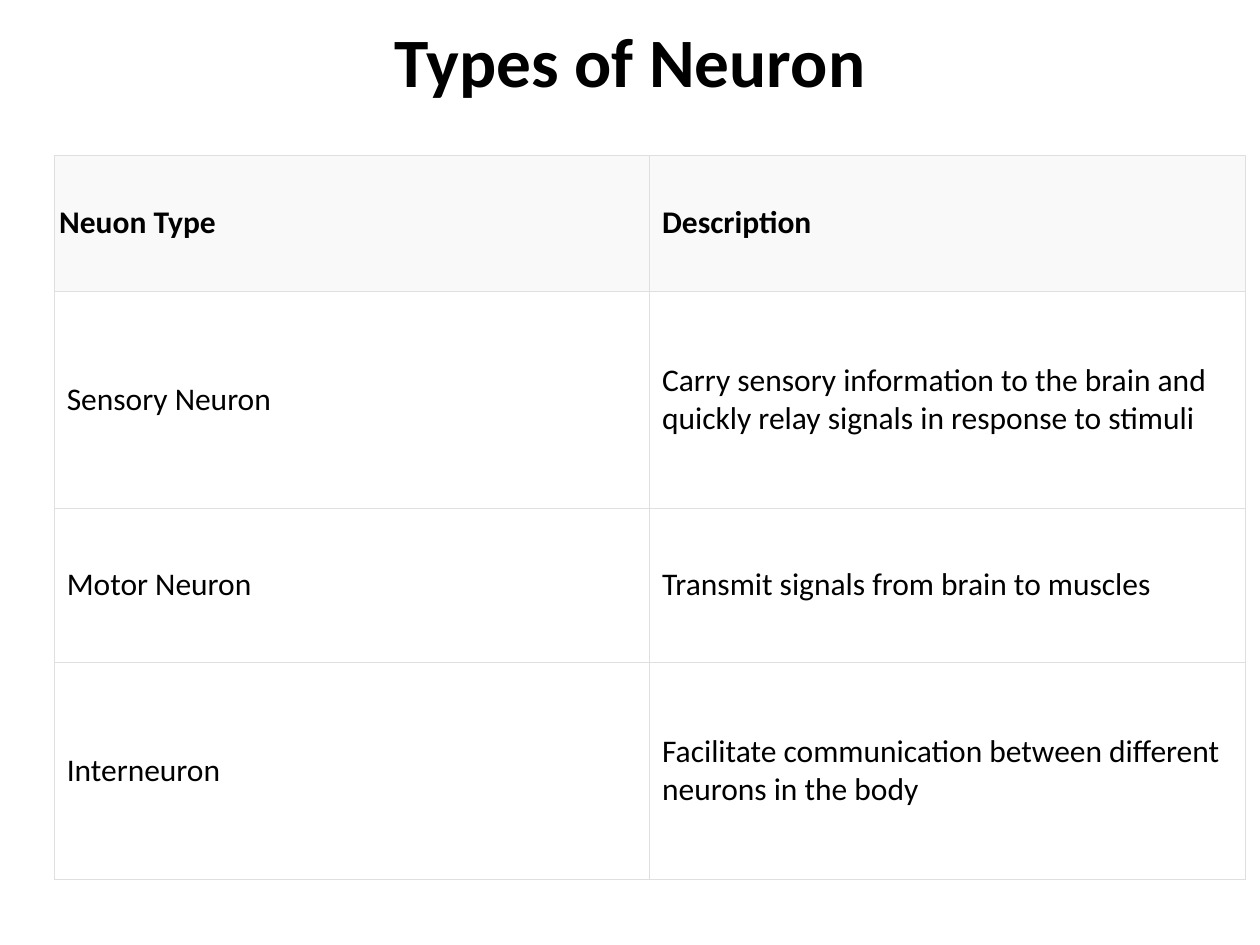
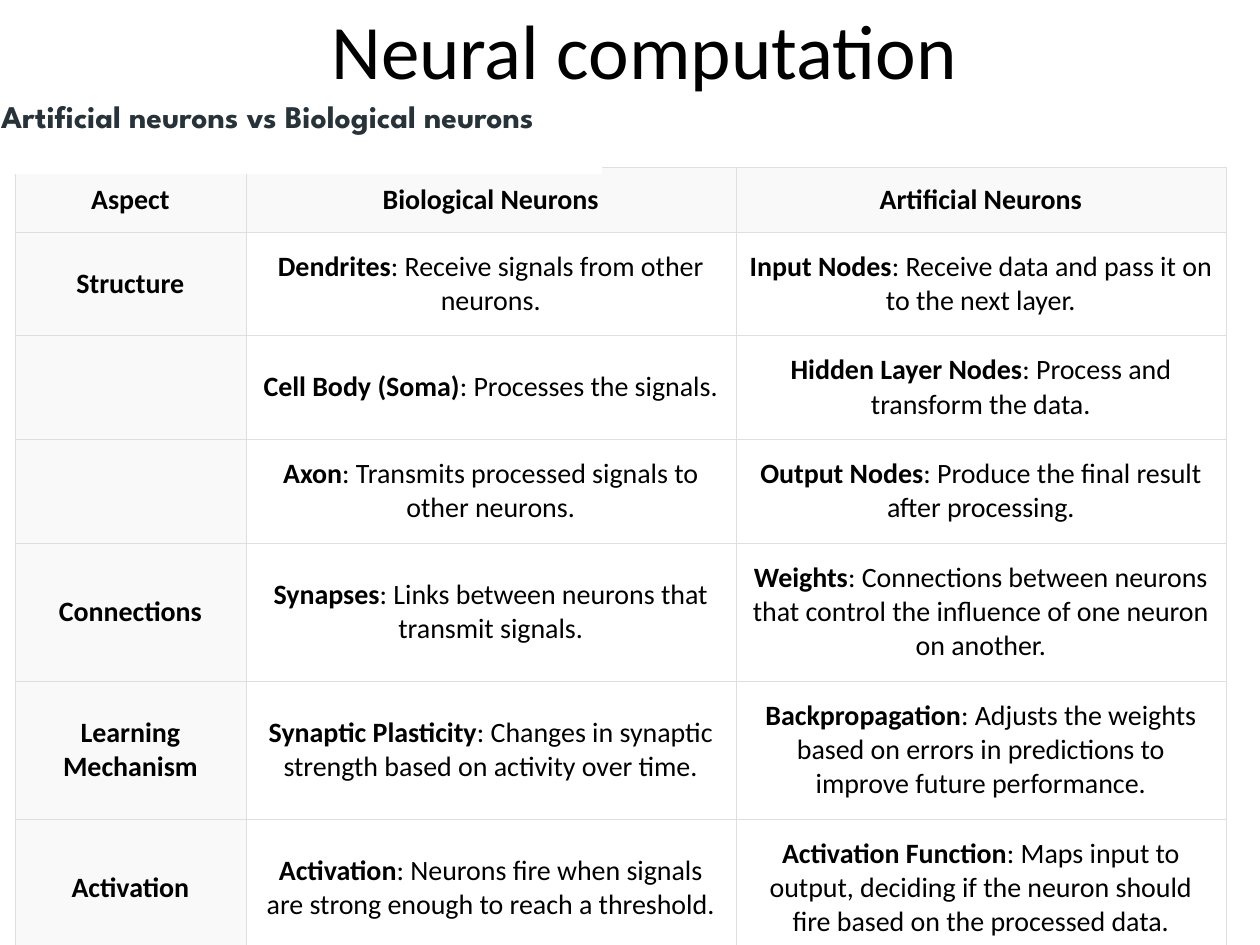
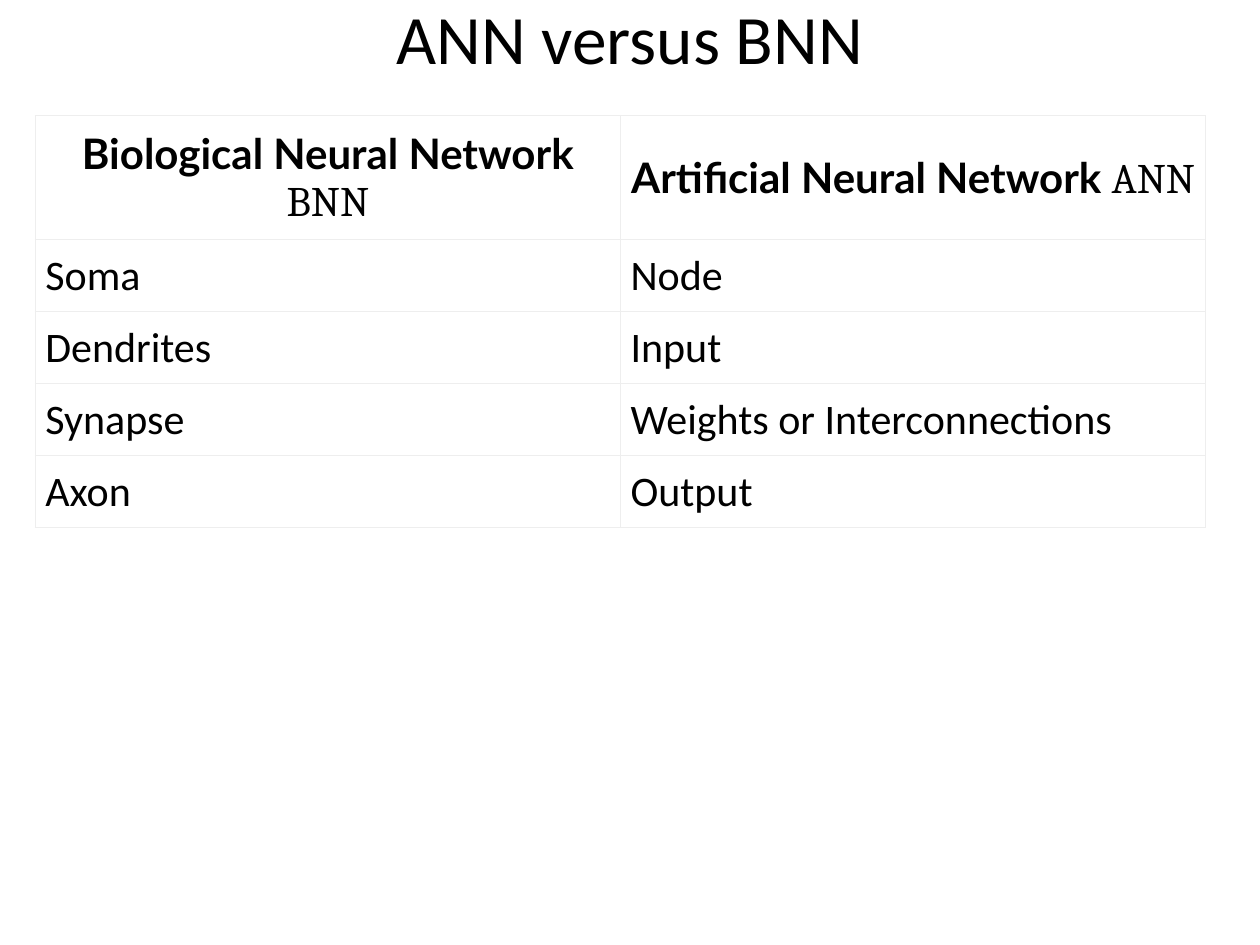
from dataclasses import dataclass

from lxml import etree
from pptx import Presentation
from pptx.dml.color import RGBColor
from pptx.enum.shapes import MSO_SHAPE
from pptx.enum.text import MSO_ANCHOR, MSO_AUTO_SIZE, PP_ALIGN
from pptx.oxml.ns import qn
from pptx.util import Inches, Pt

RECTANGLE = MSO_SHAPE.RECTANGLE
TOP, MIDDLE = MSO_ANCHOR.TOP, MSO_ANCHOR.MIDDLE
LEFT, CENTER = PP_ALIGN.LEFT, PP_ALIGN.CENTER
NO_AUTOFIT = MSO_AUTO_SIZE.NONE

COLORS = {
    "text": "000000",
    "subtitle": "273239",
    "paper": "FFFFFF",
    "heading": "F9F9F9",
    "rule": "DFDFDF",
    "light_rule": "EEEEEE",
}
BODY_FONT = "Calibri"
HEADING_FONT = "Lato"
ACRONYM_FONT = "Cambria"
SUBTITLE_FONT = "League Spartan"

# The slide is a grid of 100 columns by 75 rows; boxes are left, top, width, height.
GRID_COLUMNS, GRID_ROWS = 100, 75
CELL = Inches(0.1)
TITLE_ONLY = 5


@dataclass
class TableStyle:
    size: int
    head_pad: tuple
    body_pad: tuple
    corner_pad: tuple
    rule: str = "rule"
    rule_width: float = 0.23
    head_fill: str = "heading"
    head_align: int = LEFT
    body_align: int = LEFT
    head_column: bool = False


NEURON_STYLE = TableStyle(18, (0.1, 0.1), (0.1, 0.15), (0.04, 0.1))
ASPECT_STYLE = TableStyle(16, (0.1, 0.1), (0.1, 0.14), (0.04, 0.07),
                          head_align=CENTER, body_align=CENTER, head_column=True)
NETWORK_STYLE = TableStyle(24, (0.08, 0.08), (0.08, 0.08), (0.08, 0.08),
                           rule="light_rule", rule_width=0.75,
                           head_fill="paper", head_align=CENTER)

NEURON_TYPES = [
    ("Neuon Type", "Description"),
    ("Sensory Neuron", "Carry sensory information to the brain and quickly relay "
                       "signals in response to stimuli"),
    ("Motor Neuron", "Transmit signals from brain to muscles"),
    ("Interneuron", "Facilitate communication between different neurons in the body"),
]
ASPECTS = [
    ("Aspect", "Biological Neurons", "Artificial Neurons"),
    ("Structure", "Dendrites: Receive signals from other neurons.",
     "Input Nodes: Receive data and pass it on to the next layer."),
    ("", "Cell Body (Soma): Processes the signals.",
     "Hidden Layer Nodes: Process and transform the data."),
    ("", "Axon: Transmits processed signals to other neurons.",
     "Output Nodes: Produce the final result after processing."),
    ("Connections", "Synapses: Links between neurons that transmit signals.",
     "Weights: Connections between neurons that control the influence of one "
     "neuron on another."),
    ("Learning Mechanism",
     "Synaptic Plasticity: Changes in synaptic strength based on activity over time.",
     "Backpropagation: Adjusts the weights based on errors in predictions to "
     "improve future performance."),
    ("Activation",
     "Activation: Neurons fire when signals are strong enough to reach a threshold.",
     "Activation Function: Maps input to output, deciding if the neuron should "
     "fire based on the processed data."),
]
NETWORK_PARTS = [
    ("Biological Neural Network BNN", "Artificial Neural Network ANN"),
    ("Soma", "Node"),
    ("Dendrites", "Input"),
    ("Synapse", "Weights or Interconnections"),
    ("Axon", "Output"),
]


def rgb(name):
    return RGBColor.from_string(COLORS[name])


def grid(box):
    return [round(length * CELL) for length in box]


def format_font(font, size, bold=False, name=BODY_FONT, color="text"):
    font.size, font.bold, font.name = Pt(size), bold, name
    font.color.rgb = rgb(color)


def add_title(slide, text, box, size, bold=False, align=CENTER):
    title = slide.shapes.title
    title.left, title.top, title.width, title.height = grid(box)
    frame = title.text_frame
    frame.text = text
    frame.auto_size = NO_AUTOFIT
    frame.vertical_anchor = MIDDLE
    frame.paragraphs[0].alignment = align
    format_font(frame.paragraphs[0].runs[0].font, size, bold)


def add_subtitle_band(slide, text, box):
    band = slide.shapes.add_shape(RECTANGLE, *grid(box))
    band.shadow.inherit = False
    band.fill.solid()
    band.fill.fore_color.rgb = rgb("paper")
    band.line.fill.background()
    frame = band.text_frame
    frame.text = text
    frame.word_wrap = False
    frame.vertical_anchor = TOP
    frame.margin_left = frame.margin_right = frame.margin_top = frame.margin_bottom = 0
    frame.paragraphs[0].alignment = LEFT
    format_font(frame.paragraphs[0].runs[0].font, 18, True, SUBTITLE_FONT, "subtitle")


def draw_borders(cell, color, width):
    properties = cell._tc.get_or_add_tcPr()
    for position, side in enumerate(("lnL", "lnR", "lnT", "lnB")):
        line = etree.Element(qn(f"a:{side}"), w=str(int(Pt(width))))
        fill = etree.SubElement(line, qn("a:solidFill"))
        etree.SubElement(fill, qn("a:srgbClr"), val=COLORS[color])
        properties.insert(position, line)


def plain_runs(text, is_head):
    return [(text, is_head, BODY_FONT)]


def term_runs(text, is_head):
    """Set the term before the colon in bold."""
    term, colon, meaning = text.partition(":")
    return [(term, True, BODY_FONT), (colon + meaning, False, BODY_FONT)]


def acronym_runs(text, is_head):
    """Set the acronym that closes a heading in its own font."""
    if not is_head:
        return plain_runs(text, is_head)
    return [(text[:-3], True, HEADING_FONT), (text[-3:], False, ACRONYM_FONT)]


def fill_cell(cell, runs, is_head, pad, style):
    cell.fill.solid()
    cell.fill.fore_color.rgb = rgb(style.head_fill if is_head else "paper")
    draw_borders(cell, style.rule, style.rule_width)
    cell.vertical_anchor = MIDDLE
    cell.margin_left = cell.margin_right = Inches(pad[0])
    cell.margin_top = cell.margin_bottom = Inches(pad[1])
    paragraph = cell.text_frame.paragraphs[0]
    paragraph.alignment = style.head_align if is_head else style.body_align
    format_font(paragraph.font, style.size)
    for text, bold, font in runs:
        if text:
            run = paragraph.add_run()
            run.text = text
            format_font(run.font, style.size, bold, font)


def add_comparison(slide, rows, box, column_shares, row_shares, style, split_runs):
    """Fill the box with a table whose columns and rows follow the given shares."""
    left, top, width, height = grid(box)
    table = slide.shapes.add_table(len(rows), len(rows[0]), left, top, width, height).table
    table.first_row = table.horz_banding = False
    for column, share in zip(table.columns, column_shares):
        column.width = round(width * share / sum(column_shares))
    for row, share in zip(table.rows, row_shares):
        row.height = round(height * share / sum(row_shares))
    for r, texts in enumerate(rows):
        for c, text in enumerate(texts):
            is_head = r == 0 or (style.head_column and c == 0)
            if is_head and c == 0:
                pad = style.corner_pad
            else:
                pad = style.head_pad if is_head else style.body_pad
            fill_cell(table.cell(r, c), split_runs(text, is_head), is_head, pad, style)


def build_neuron_types(slide):
    add_title(slide, "Types of Neuron", (5, 0.1, 90, 9.3), 39.6, bold=True)
    add_comparison(slide, NEURON_TYPES, (4.3, 12.3, 94.5, 57.5), (1, 1),
                   (1.08, 1.73, 1.22, 1.73), NEURON_STYLE, plain_runs)


def build_neural_computation(slide):
    add_title(slide, "Neural computation", (25.3, -0.3, 52.3, 8.4), 44, align=LEFT)
    add_comparison(slide, ASPECTS, (1.2, 13.3, 96.1, 62.1), (1.83, 3.89, 3.89),
                   (0.51, 0.82, 0.82, 0.82, 1.08, 1.08, 1.08), ASPECT_STYLE, term_runs)
    add_subtitle_band(slide, "Artificial neurons vs Biological neurons",
                      (0.1, 7.7, 47.7, 6.1))


def build_network_parts(slide):
    add_title(slide, "ANN versus BNN", (5, 0.2, 90, 5.4), 39.6)
    add_comparison(slide, NETWORK_PARTS, (2.8, 9.2, 92.9, 32.7), (1, 1),
                   (0.98, 0.57, 0.57, 0.57, 0.57), NETWORK_STYLE, acronym_runs)


def main():
    deck = Presentation()
    deck.slide_width, deck.slide_height = GRID_COLUMNS * CELL, GRID_ROWS * CELL
    for build in (build_neuron_types, build_neural_computation, build_network_parts):
        build(deck.slides.add_slide(deck.slide_layouts[TITLE_ONLY]))
    deck.save("out.pptx")


if __name__ == "__main__":
    main()
